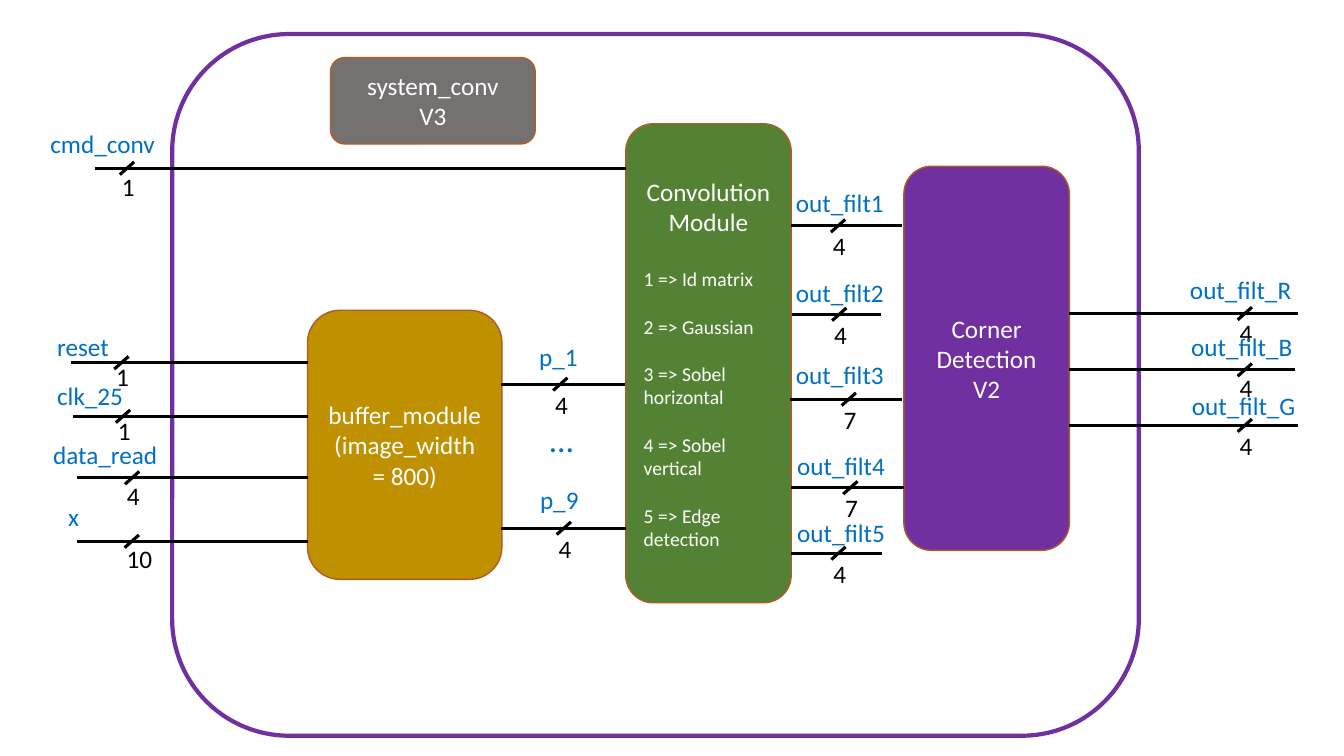
import pptx
import pptx.util
import pptx.dml.color
import pptx.enum.shapes
import pptx.enum.text
import pptx.oxml.ns
import lxml.etree

Cm, Pt = pptx.util.Cm, pptx.util.Pt
color = pptx.dml.color.RGBColor.from_string
align = pptx.enum.text.PP_ALIGN
kinds = pptx.enum.shapes

deck = pptx.Presentation()
deck.slide_width, deck.slide_height = Cm(33.87), Cm(19.05)
page = deck.slides.add_slide(deck.slide_layouts[6])


def add_line(x1, y1, x2, y2):
    line = page.shapes.add_connector(kinds.MSO_CONNECTOR.STRAIGHT, Cm(x1), Cm(y1), Cm(x2), Cm(y2))
    line.line.color.rgb = color("000000")
    line.line.width = Pt(2.25)
    lxml.etree.SubElement(line._element.spPr, pptx.oxml.ns.qn("a:effectLst"))


def add_label(text, left, top, width, hue, size=18, wrap=True):
    box = page.shapes.add_textbox(Cm(left), Cm(top), Cm(width), Cm(1.02))
    box.text_frame.word_wrap = wrap
    para = box.text_frame.paragraphs[0]
    para.text = text
    para.font.name, para.font.size = "Calibri", Pt(size)
    para.font.color.rgb = color(hue)


filters = ["1 => Id matrix", "2 => Gaussian", "3 => Sobel horizontal",
           "4 => Sobel vertical", "5 => Edge detection"]
blocks = [
    (4.34, 0.86, 24.36, 17.68, "FFFFFF", "7030A0", 3, [], []),
    (8.33, 1.45, 5.16, 2.18, "767171", "AF5C24", 1, ["system_conv", "V3"], []),
    (7.75, 7.82, 4.9, 6.78, "BF9000", "AF5C24", 1, ["buffer_module", "(image_width = 800)"], []),
    (15.77, 3.12, 4.17, 12.07, "548235", "AF5C24", 1, ["Convolution Module"], filters),
    (22.78, 4.19, 4.17, 9.68, "7030A0", "AF5C24", 1, ["Corner Detection", "V2"], []),
]
for left, top, width, height, fill, outline, weight, heading, details in blocks:
    block = page.shapes.add_shape(kinds.MSO_SHAPE.ROUNDED_RECTANGLE, Cm(left), Cm(top), Cm(width), Cm(height))
    block.shadow.inherit = False
    block.fill.solid()
    block.fill.fore_color.rgb = color(fill)
    block.line.color.rgb = color(outline)
    block.line.width = Pt(weight)
    frame = block.text_frame
    frame.vertical_anchor = pptx.enum.text.MSO_ANCHOR.MIDDLE
    for index, text in enumerate(heading + details):
        para = frame.add_paragraph() if index else frame.paragraphs[0]
        is_detail = index >= len(heading)
        para.text = text
        para.alignment = align.LEFT if is_detail else align.CENTER
        para.font.name, para.font.size = "Calibri", Pt(14 if is_detail else 18)
        para.font.color.rgb = color("FFFFFF")
        if is_detail:
            para.space_before = Pt(22 if index == len(heading) else 17)

signals = [
    ("cmd_conv", 1.02, 3.12, 3.81, 2.39, 15.77, 4.24, 3.2, "1", 4.19),
    ("reset", 1.19, 8.23, 1.98, 1.8, 7.75, 9.14, 3.06, "1", 8.97),
    ("clk_25", 1.19, 9.45, 2.18, 1.83, 7.75, 10.49, 3.1, "1", 10.34),
    ("data_read", 1.09, 10.95, 3.38, 1.93, 7.75, 12.04, 3.33, "4", 11.99),
    ("x", 1.47, 12.52, 1.14, 1.93, 7.75, 13.64, 3.32, "10", 13.56),
    ("p_1", 13.34, 8.48, 1.68, 12.62, 15.75, 9.68, 14.12, "4", 9.68),
    ("p_9", 13.36, 12.09, 1.68, 12.62, 15.77, 13.31, 14.21, "4", 13.31),
    ("out_filt1", 19.81, 4.6, 3, 19.94, 22.73, 5.69, 21.12, "4", 5.69),
    ("out_filt2", 19.81, 6.86, 2.8, 19.96, 22.2, 7.92, 21.15, "4", 7.92),
    ("out_filt3", 19.81, 8.94, 2.8, 19.91, 22.73, 10.06, 21.39, "7", 10.06),
    ("out_filt4", 19.84, 11.23, 2.75, 19.94, 22.78, 12.29, 21.43, "7", 12.29),
    ("out_filt5", 19.84, 12.9, 3, 19.94, 22.23, 13.94, 21.13, "4", 13.94),
    ("out_filt_R", 29.74, 6.78, 3.2, 26.95, 32.72, 7.9, 31.37, "4", 7.87),
    ("out_filt_B", 29.77, 8.23, 3.18, 26.95, 32.64, 9.32, 31.37, "4", 9.25),
    ("out_filt_G", 29.79, 9.7, 3.18, 26.95, 32.72, 10.72, 31.37, "4", 10.72),
]
for name, left, top, width, start, end, wire, slash, bits, bits_top in signals:
    add_line(start, wire, end, wire)
    add_line(slash - 0.18, wire + 0.16, slash + 0.18, wire - 0.16)
    add_label(bits, slash - 0.38, bits_top, 0.51 + 0.33 * len(bits), "000000", wrap=False)
    add_label(name, left, top, width, "0070C0")
add_label("…", 13.61, 10.44, 1.09, "0070C0", size=24)

deck.save("out.pptx")
